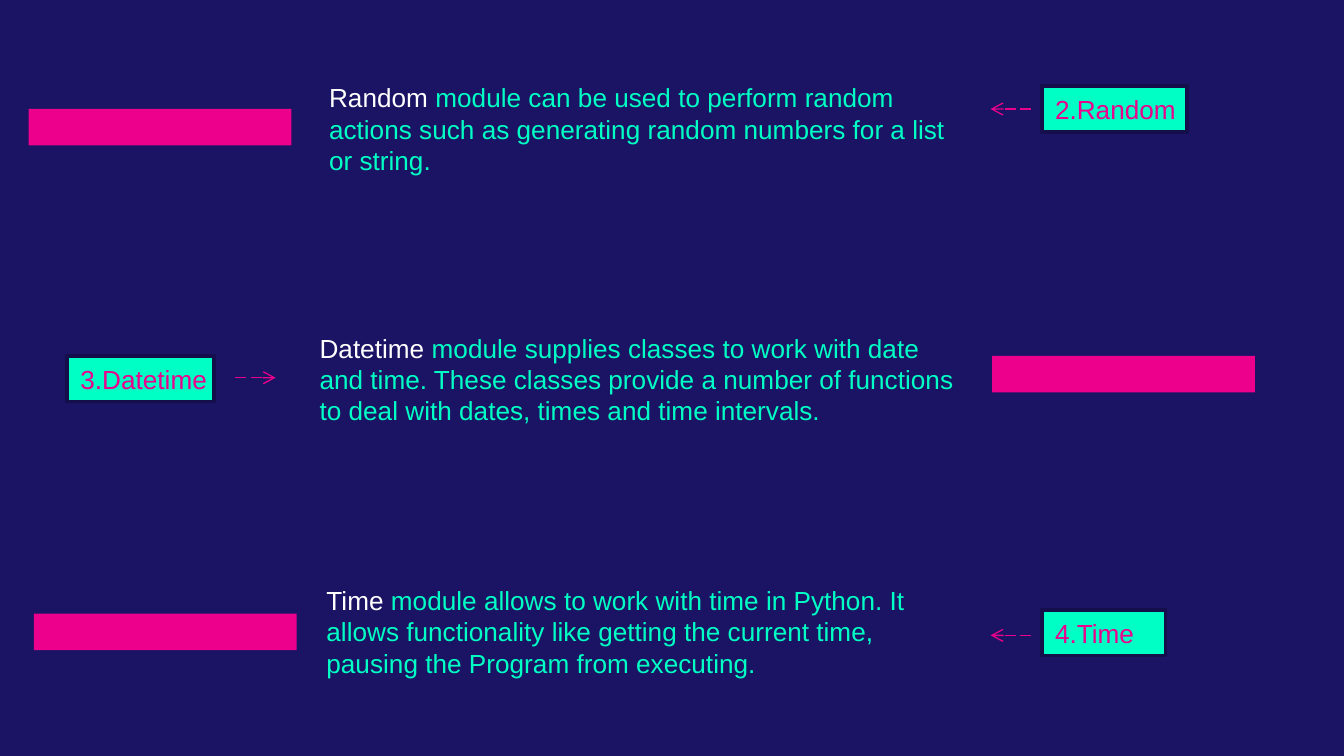
from dataclasses import dataclass

from lxml.etree import SubElement
from pptx import Presentation
from pptx.dml.color import RGBColor
from pptx.enum.dml import MSO_LINE
from pptx.enum.shapes import MSO_CONNECTOR, MSO_SHAPE
from pptx.enum.text import MSO_ANCHOR, MSO_AUTO_SIZE, PP_ALIGN
from pptx.oxml.ns import qn
from pptx.util import Cm, Pt


@dataclass(frozen=True)
class Theme:
    """Colours, font and type size of the slide."""
    back: str = "1B1464"
    edge: str = "140F4A"
    mint: str = "00FFC5"
    pink: str = "EC008C"
    arrow: str = "E70089"
    white: str = "FFFFFF"
    font: str = "Arial"
    size: float = 14


THEME = Theme()

ROWS = [
    dict(name="Random",
         text=" module can be used to perform random actions such as "
              "generating random numbers for a list or string.",
         body=(5.97, 1.42), label="2.Random", badge=(19.69, 1.63, 2.74),
         bar=(0.54, 2.06), arrow=(19.48, 2.06, -1)),
    dict(name="Datetime",
         text=" module supplies classes to work with date and time. These "
              "classes provide a number of functions to deal with dates, "
              "times and time intervals.",
         body=(5.79, 6.15), label="3.Datetime", badge=(1.27, 6.73, 2.77),
         bar=(18.75, 6.73), arrow=(4.45, 7.14, 1)),
    dict(name="Time",
         text=" module allows to work with time in Python. It allows "
              "functionality like getting the current time, pausing the "
              "Program from executing.",
         body=(5.92, 10.92), label="4.Time", badge=(19.69, 11.53, 2.34),
         bar=(0.64, 11.6), arrow=(19.48, 12.01, -1)),
]


def rgb(code):
    """Turn a hex code into a colour."""
    return RGBColor.from_string(code)


def style(run, code):
    """Set the font, size and colour of a run."""
    run.font.name = THEME.font
    run.font.size = Pt(THEME.size)
    run.font.color.rgb = rgb(code)


def add_box(slide, x, y, width, height, code):
    """Add a plain filled rectangle."""
    box = slide.shapes.add_shape(
        MSO_SHAPE.RECTANGLE, Cm(x), Cm(y), Cm(width), Cm(height))
    box.shadow.inherit = False
    box.fill.solid()
    box.fill.fore_color.rgb = rgb(code)
    box.line.fill.background()
    return box


def add_badge(slide, label, x, y, width):
    """Add an outlined box holding a module's label."""
    box = add_box(slide, x, y, width, 0.86, THEME.mint)
    box.line.color.rgb = rgb(THEME.edge)
    box.line.width = Pt(2)
    frame = box.text_frame
    frame.text = label
    frame.word_wrap = False
    frame.margin_right = 0
    frame.vertical_anchor = MSO_ANCHOR.MIDDLE
    para = frame.paragraphs[0]
    para.alignment = PP_ALIGN.LEFT
    style(para.runs[0], THEME.pink)


def add_body(slide, name, text, x, y):
    """Add a description that opens with the module's name in white."""
    box = slide.shapes.add_textbox(Cm(x), Cm(y), Cm(12.7), Cm(2.06))
    frame = box.text_frame
    frame.word_wrap = True
    frame.auto_size = MSO_AUTO_SIZE.SHAPE_TO_FIT_TEXT
    para = frame.paragraphs[0]
    for part, code in ((name, THEME.white), (text, THEME.mint)):
        run = para.add_run()
        run.text = part
        style(run, code)


def add_arrow(slide, x, y, way):
    """Add a short dashed arrow pointing right (1) or left (-1)."""
    link = slide.shapes.add_connector(
        MSO_CONNECTOR.STRAIGHT, Cm(x), Cm(y), Cm(x + way * 0.76), Cm(y))
    link.line.color.rgb = rgb(THEME.arrow)
    link.line.width = Pt(0.75)
    link.line.dash_style = MSO_LINE.LONG_DASH
    props = link._element.spPr
    SubElement(props.find(qn("a:ln")), qn("a:tailEnd"), type="arrow")
    SubElement(props, qn("a:effectLst"))


def main():
    """Build the slide and save it."""
    deck = Presentation()
    deck.slide_width, deck.slide_height = Cm(25.4), Cm(14.29)
    slide = deck.slides.add_slide(deck.slide_layouts[6])
    slide.background.fill.solid()
    slide.background.fill.fore_color.rgb = rgb(THEME.back)
    for row in ROWS:
        add_badge(slide, row["label"], *row["badge"])
        add_body(slide, row["name"], row["text"], *row["body"])
        add_box(slide, *row["bar"], 4.97, 0.69, THEME.pink)
        add_arrow(slide, *row["arrow"])
    deck.save("out.pptx")


if __name__ == "__main__":
    main()
